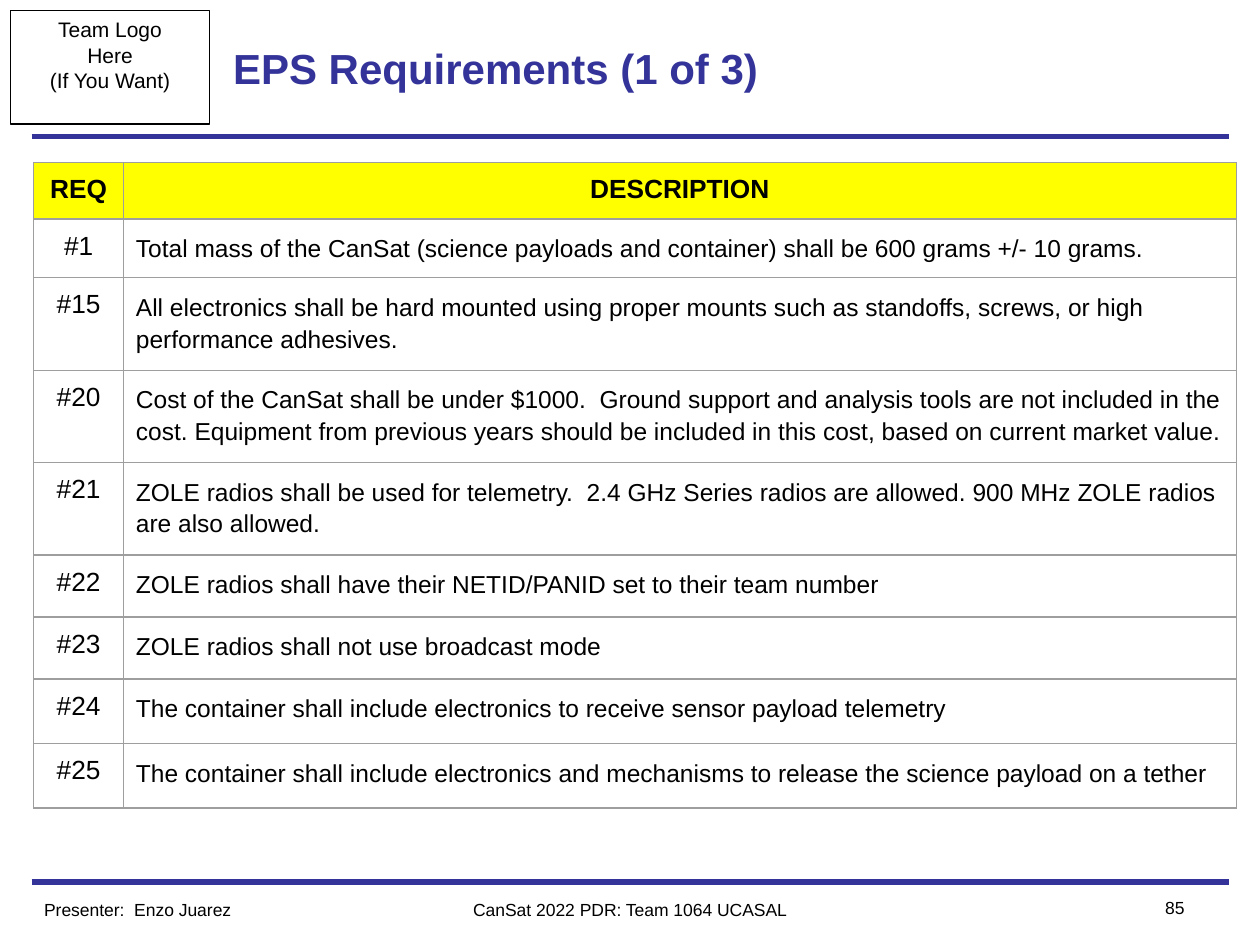
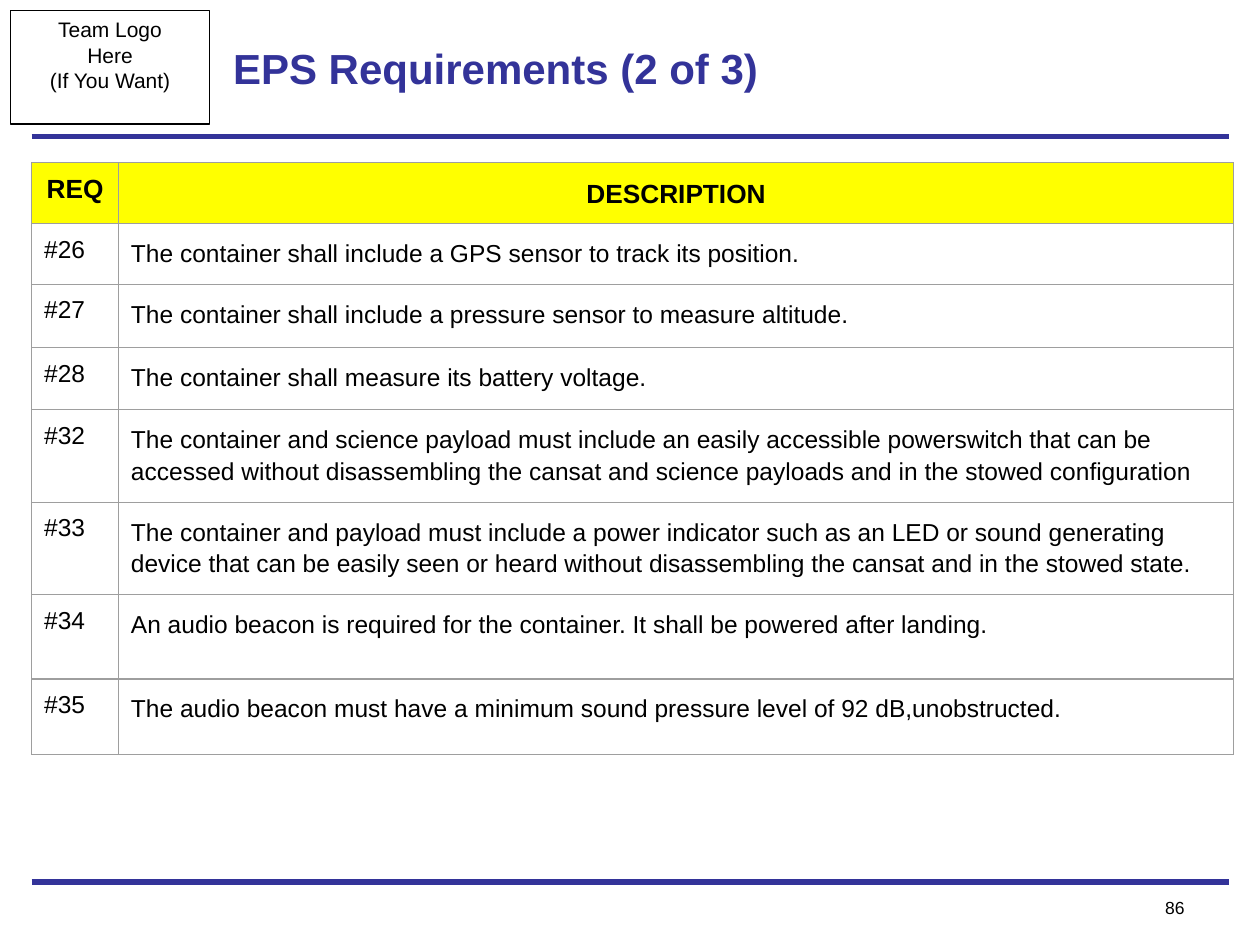
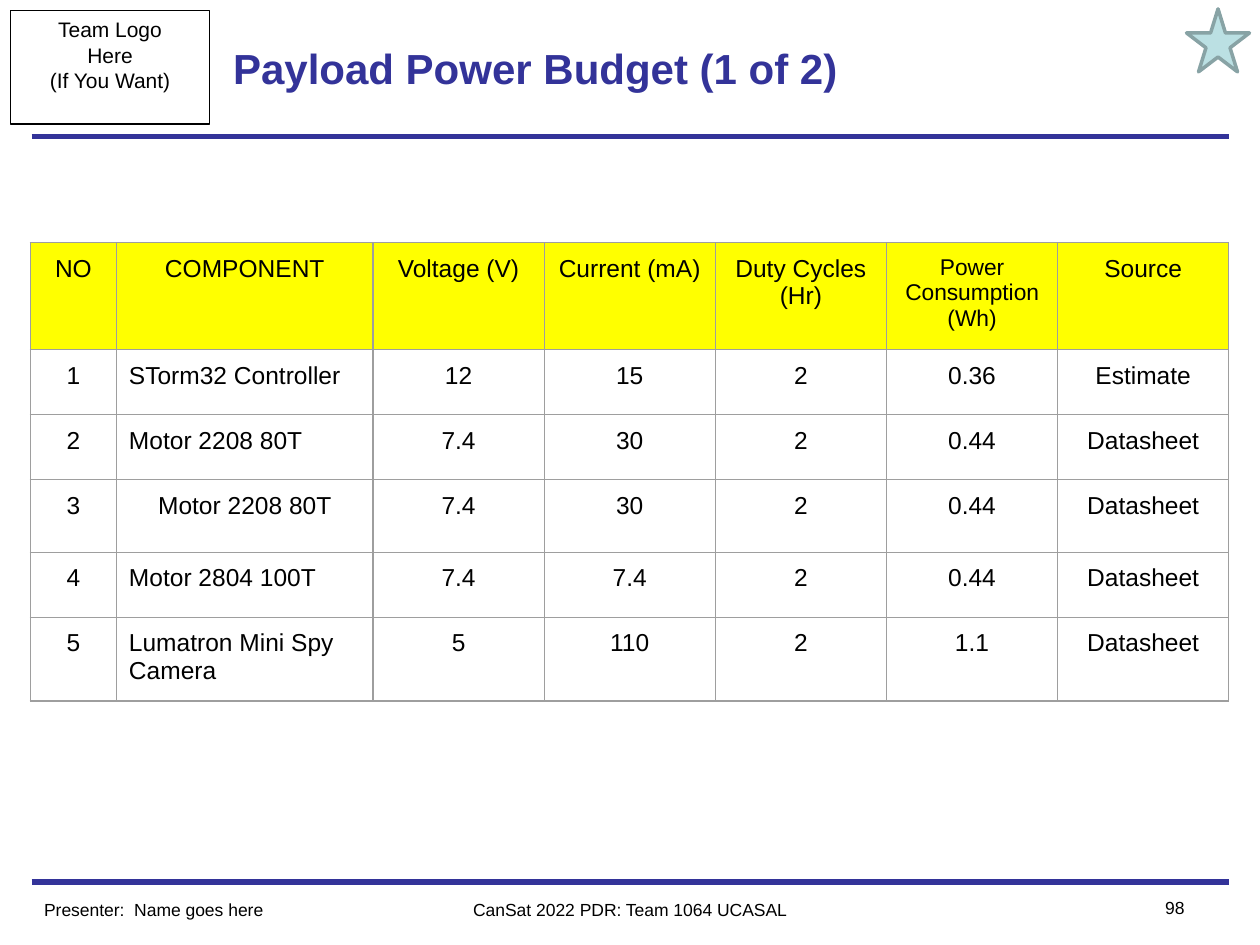
from dataclasses import dataclass

from lxml.etree import SubElement
from pptx import Presentation
from pptx.dml.color import RGBColor
from pptx.enum.shapes import MSO_CONNECTOR, MSO_SHAPE
from pptx.enum.text import MSO_ANCHOR, PP_ALIGN
from pptx.oxml.ns import qn
from pptx.util import Cm, Pt

LEFT, CENTER, RIGHT = PP_ALIGN.LEFT, PP_ALIGN.CENTER, PP_ALIGN.RIGHT


@dataclass(frozen=True)
class Theme:
    """Colours, font and type sizes of the deck."""
    font: str = "Arial"
    ink: str = "000000"
    accent: str = "333399"
    paper: str = "FFFFFF"
    header: str = "FFFF00"
    grid: str = "9E9E9E"
    star: str = "BBE0E3"
    star_edge: str = "88A3A5"
    title_size: float = 24
    label_size: float = 15
    body_size: float = 14
    compact_size: float = 13
    logo_size: float = 12
    footer_size: float = 10


THEME = Theme()


def rgb(code):
    """Turn a hex code into a colour."""
    return RGBColor.from_string(code)


def write(frame, text, size=THEME.body_size, color=THEME.ink, bold=False,
          align=LEFT, spacing=None, anchor=MSO_ANCHOR.TOP, inset=(0.25, 0.13)):
    """Fill a text frame, one paragraph per line of text."""
    frame.word_wrap = True
    frame.vertical_anchor = anchor
    frame.margin_left = frame.margin_right = Cm(inset[0])
    frame.margin_top = frame.margin_bottom = Cm(inset[1])
    for index, line in enumerate(text.split("\n")):
        paragraph = frame.add_paragraph() if index else frame.paragraphs[0]
        paragraph.alignment = align
        if spacing:
            paragraph.line_spacing = spacing
        run = paragraph.add_run()
        run.text = line
        run.font.name = THEME.font
        run.font.size = Pt(size)
        run.font.bold = bold
        run.font.color.rgb = rgb(color)


class Deck:
    """Holds the theme, the presentation and the current slide."""

    def __init__(self, theme):
        """Start an empty 4:3 presentation."""
        self.theme = theme
        self.deck = Presentation()
        self.deck.slide_width, self.deck.slide_height = Cm(25.4), Cm(19.05)
        self.slide = None

    def add_slide(self, title, number, presenter=None):
        """Add a slide with its logo box, title, rules and footer."""
        self.slide = self.deck.slides.add_slide(self.deck.slide_layouts[6])
        for y in (17.78, 2.75):
            self.rule(y)
        logo = self.shape(MSO_SHAPE.RECTANGLE, (0.21, 0.21, 4.02, 2.29), self.theme.ink, 0.75)
        write(logo.text_frame, "Team Logo\nHere\n(If You Want)",
              size=self.theme.logo_size, align=CENTER)
        self.label((4.45, 0.21, 16.51, 2.33), title, size=self.theme.title_size,
                   color=self.theme.accent, bold=True, anchor=MSO_ANCHOR.MIDDLE)
        small = self.theme.footer_size
        self.label((22.23, 17.96, 1.9, 0.69), str(number), size=small, align=RIGHT)
        if presenter:
            self.label((7.62, 17.99, 10.16, 0.69), "CanSat 2022 PDR: Team 1064 UCASAL",
                       size=small, align=CENTER)
            self.label((0.64, 17.99, 6.35, 0.69), f"Presenter:  {presenter}", size=small)

    def rule(self, y):
        """Draw a horizontal rule across the slide."""
        line = self.slide.shapes.add_connector(
            MSO_CONNECTOR.STRAIGHT, Cm(0.64), Cm(y), Cm(24.77), Cm(y))
        line.line.color.rgb = rgb(self.theme.accent)
        line.line.width = Pt(3)
        SubElement(line._element.spPr, qn("a:effectLst"))

    def shape(self, preset, box, edge, weight, fill=None):
        """Draw an outlined preset shape."""
        shape = self.slide.shapes.add_shape(preset, *map(Cm, box))
        shape.shadow.inherit = False
        if fill:
            shape.fill.solid()
            shape.fill.fore_color.rgb = rgb(fill)
        else:
            shape.fill.background()
        shape.line.color.rgb = rgb(edge)
        shape.line.width = Pt(weight)
        return shape

    def label(self, box, text, **style):
        """Place a text box."""
        write(self.slide.shapes.add_textbox(*map(Cm, box)).text_frame, text, **style)

    def star(self):
        """Mark the slide with a star in the top right corner."""
        self.shape(MSO_SHAPE.STAR_5_POINT, (23.92, 0.18, 1.27, 1.27),
                   self.theme.star_edge, 2, self.theme.star)

    def border(self, cell):
        """Draw the four grid lines of a cell."""
        properties = cell._tc.get_or_add_tcPr()
        for side in ("lnL", "lnR", "lnT", "lnB"):
            line = SubElement(properties, qn(f"a:{side}"), w=str(Pt(0.75)))
            SubElement(SubElement(line, qn("a:solidFill")), qn("a:srgbClr"), val=self.theme.grid)

    def table(self, corner, widths, heights, rows, style):
        """Build a table; style(row, column) gives the text format of a cell."""
        table = self.slide.shapes.add_table(
            len(rows), len(widths), *map(Cm, (*corner, sum(widths), sum(heights)))).table
        table.first_row = table.horz_banding = False
        for column, width in zip(table.columns, widths):
            column.width = Cm(width)
        for r, (height, texts) in enumerate(zip(heights, rows)):
            table.rows[r].height = Cm(height)
            for c, text in enumerate(texts):
                cell = table.cell(r, c)
                self.border(cell)
                cell.fill.solid()
                cell.fill.fore_color.rgb = rgb(self.theme.paper if r else self.theme.header)
                cell.margin_left = cell.margin_right = Cm(0.25)
                cell.margin_top = cell.margin_bottom = Cm(0.25)
                write(cell.text_frame, text, inset=(0.25, 0.25), **style(r, c))

    def requirements(self, left, widths, heights, requirements, id_style, header_spacing=None):
        """Build a table of requirement numbers and descriptions."""
        def style(row, column):
            """Format the header, the numbers and the descriptions."""
            if row == 0:
                return dict(size=self.theme.label_size, bold=True, align=CENTER,
                            spacing=header_spacing if column else None)
            return dict(spacing=1.15) if column else id_style

        rows = [("REQ", "DESCRIPTION"), *requirements]
        self.table((left, 3.28), widths, heights, rows, style)


FIRST_REQUIREMENTS = [
    ("#1", "Total mass of the CanSat (science payloads and container) shall be 600 grams "
           "+/- 10 grams."),
    ("#15", "All electronics shall be hard mounted using proper mounts such as standoffs, "
            "screws, or high performance adhesives."),
    ("#20", "Cost of the CanSat shall be under $1000.  Ground support and analysis tools are "
            "not included in the cost. Equipment from previous years should be included in "
            "this cost, based on current market value."),
    ("#21", "ZOLE radios shall be used for telemetry.  2.4 GHz Series radios are allowed. "
            "900 MHz ZOLE radios are also allowed."),
    ("#22", "ZOLE radios shall have their NETID/PANID set to their team number"),
    ("#23", "ZOLE radios shall not use broadcast mode"),
    ("#24", "The container shall include electronics to receive sensor payload telemetry"),
    ("#25", "The container shall include electronics and mechanisms to release the science "
            "payload on a tether"),
]

SECOND_REQUIREMENTS = [
    ("#26", "The container shall include a GPS sensor to track its position."),
    ("#27", "The container shall include a pressure sensor to measure altitude."),
    ("#28", "The container shall measure its battery voltage."),
    ("#32", "The container and science payload must include an easily accessible powerswitch "
            "that can be accessed without disassembling the cansat and science payloads and "
            "in the stowed configuration"),
    ("#33", "The container and payload must include a power indicator such as an LED or sound "
            "generating device that can be easily seen or heard without disassembling the "
            "cansat and in the stowed state."),
    ("#34", "An audio beacon is required for the container. It shall be powered after landing."),
    ("#35", "The audio beacon must have a minimum sound pressure level of 92 dB,unobstructed."),
]

POWER_BUDGET = [
    ("NO", "COMPONENT", "Voltage (V)", "Current (mA)", "Duty Cycles (Hr)",
     "Power Consumption (Wh)", "Source"),
    ("1", "STorm32 Controller", "12", "15", "2", "0.36", "Estimate"),
    ("2", "Motor 2208 80T", "7.4", "30", "2", "0.44", "Datasheet"),
    ("3", "Motor 2208 80T", "7.4", "30", "2", "0.44", "Datasheet"),
    ("4", "Motor 2804 100T", "7.4", "7.4", "2", "0.44", "Datasheet"),
    ("5", "Lumatron Mini Spy Camera", "5", "110", "2", "1.1", "Datasheet"),
]


def budget_style(row, column):
    """Centre all but most component names and shrink the long heading."""
    size = THEME.compact_size if (row, column) == (0, 5) else THEME.body_size
    return dict(size=size, align=LEFT if column == 1 and row not in (0, 3) else CENTER)


def main():
    """Build the three slides and save them."""
    deck = Deck(THEME)

    deck.add_slide("EPS Requirements (1 of 3)", 85, "Enzo Juarez")
    deck.requirements(0.68, (1.81, 22.43),
                      (1.09, 1.07, 1.85, 1.85, 1.8, 1.25, 1.25, 1.3, 1.3),
                      FIRST_REQUIREMENTS, dict(size=THEME.label_size, align=CENTER))

    deck.add_slide("EPS Requirements (2 of 3)", 86)
    deck.requirements(0.64, (1.75, 22.48),
                      (1.12, 1.22, 1.28, 1.25, 1.83, 1.83, 1.7, 1.52),
                      SECOND_REQUIREMENTS, dict(size=THEME.body_size), header_spacing=1.15)

    deck.add_slide("Payload Power Budget (1 of 2)", 98, "Name goes here")
    deck.star()
    deck.table((0.61, 4.89), (1.74, 5.17, *[3.45] * 5),
               (2.11, 1.31, 1.31, 1.47, 1.31, 1.6), POWER_BUDGET, budget_style)

    deck.deck.save("out.pptx")


if __name__ == "__main__":
    main()
